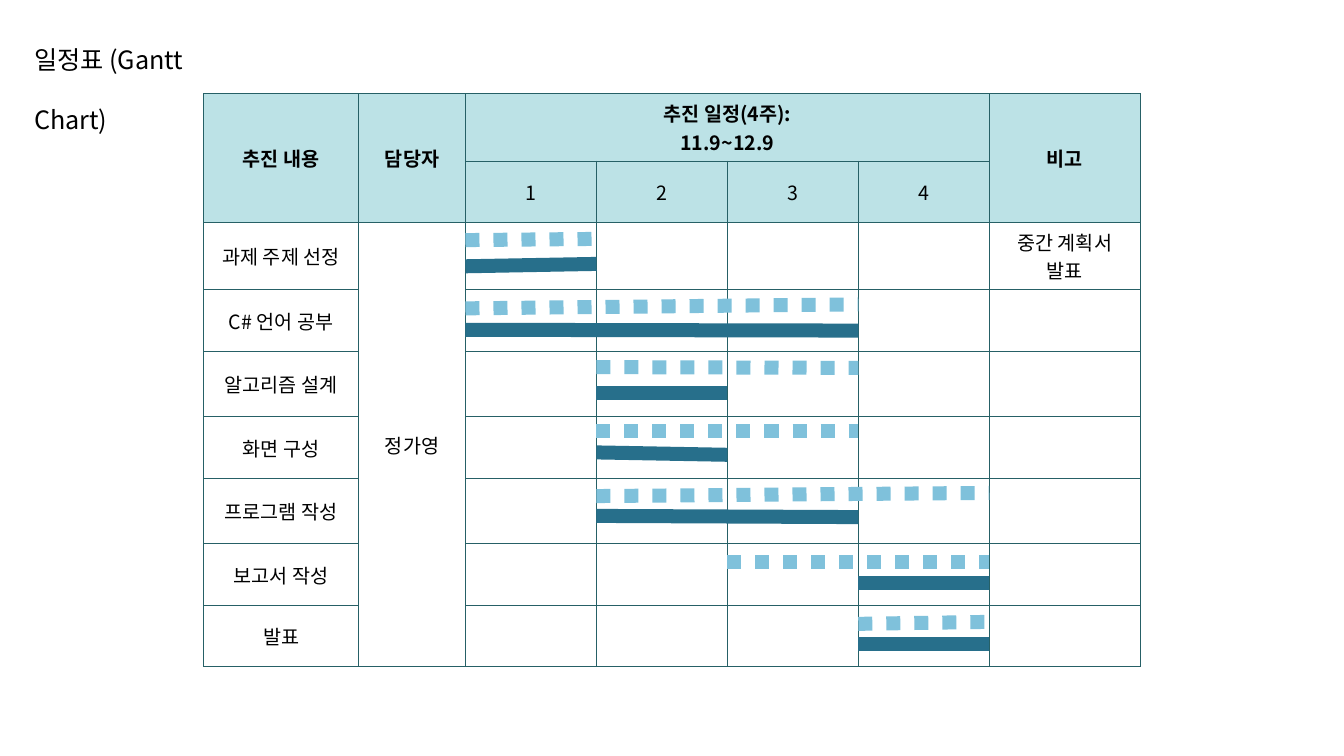
from lxml import etree
from pptx import Presentation
from pptx.dml.color import RGBColor
from pptx.enum import dml, shapes, text
from pptx.oxml import ns
from pptx.util import Cm, Pt

# Content
TITLE = "일정표 (Gantt Chart)"
HEADINGS = {0: "추진 내용", 1: "담당자", 2: "추진 일정(4주):\n11.9~12.9", 6: "비고"}
WEEKS = ["1", "2", "3", "4"]
OWNER = "정가영"
# task, remark, planned and actual bars: (first week, last week, start height, end height in cm)
TASKS = [
    ("과제 주제 선정", "중간 계획서 발표", (1, 1, 6.05, 6.02), (1, 1, 6.71, 6.65)),
    ("C# 언어 공부", "", (1, 3, 7.77, 7.67), (1, 3, 8.31, 8.33)),
    ("알고리즘 설계", "", (2, 3, 9.25, 9.27), (2, 2, 9.91, 9.91)),
    ("화면 구성", "", (2, 3, 10.87, 10.87), (2, 2, 11.4, 11.46)),
    ("프로그램 작성", "", (2, 4, 12.5, 12.42), (2, 3, 13.0, 13.03)),
    ("보고서 작성", "", (3, 4, 14.17, 14.17), (4, 4, 14.68, 14.68)),
    ("발표", "", (4, 4, 15.72, 15.67), (4, 4, 16.23, 16.23)),
]

# Layout (cm) and formats
LEFT, TOP = 5.13, 2.36
WEEK_WIDTH = 3.3
COLUMNS = [3.91, 2.69] + [WEEK_WIDTH] * 4 + [3.81]
ROWS = [1.65, 1.55] * 4 + [1.55]
WEEKS_LEFT = LEFT + sum(COLUMNS[:2])
FONT = "Noto Sans CJK KR"
BLACK, HEADER, GRID = "000000", "BCE2E6", "266066"
PLANNED, ACTUAL = "7FC1DB", "276F8B"
TITLE_FORMAT = {"name": FONT, "size": Pt(18), "bold": False}
HEADING_FORMAT = {"name": FONT, "size": Pt(14), "bold": True}
BODY_FORMAT = {"name": FONT, "size": Pt(14), "bold": False}


def color(hex_value):
    return RGBColor.from_string(hex_value)


def write(paragraph, words, formats):
    run = paragraph.add_run()
    run.text = words
    for key, value in formats.items():
        setattr(run.font, key, value)
    run.font.color.rgb = color(BLACK)
    east_asian = etree.SubElement(run.font._element, ns.qn("a:ea"))
    east_asian.set("typeface", FONT)


def fill_cell(cell, words, formats):
    cell.vertical_anchor = text.MSO_ANCHOR.MIDDLE
    frame = cell.text_frame
    for number, line in enumerate(words.split("\n")):
        paragraph = frame.add_paragraph() if number else frame.paragraphs[0]
        paragraph.alignment = text.PP_ALIGN.CENTER
        write(paragraph, line, formats)


def add_borders(cell):
    properties = cell._tc.get_or_add_tcPr()
    for position, side in enumerate(("lnL", "lnR", "lnT", "lnB")):
        border = etree.Element(ns.qn("a:" + side), w=str(Pt(0.5)))
        paint = etree.SubElement(border, ns.qn("a:solidFill"))
        etree.SubElement(paint, ns.qn("a:srgbClr"), val=GRID)
        properties.insert(position, border)


def add_bar(slide, bar, hex_value, dash=None):
    first, last, start_y, end_y = bar
    start_x = WEEKS_LEFT + (first - 1) * WEEK_WIDTH
    end_x = WEEKS_LEFT + last * WEEK_WIDTH
    line = slide.shapes.add_connector(
        shapes.MSO_CONNECTOR.STRAIGHT, Cm(start_x), Cm(start_y), Cm(end_x), Cm(end_y))
    line.line.color.rgb = color(hex_value)
    line.line.width = Pt(10)
    if dash:
        line.line.dash_style = dash
    etree.SubElement(line._element.spPr, ns.qn("a:effectLst"))


def add_schedule(slide):
    frame = slide.shapes.add_table(len(ROWS), len(COLUMNS), Cm(LEFT), Cm(TOP),
                                   Cm(sum(COLUMNS)), Cm(sum(ROWS)))
    schedule = frame.table
    for column, width in zip(schedule.columns, COLUMNS):
        column.width = Cm(width)
    for row, height in zip(schedule.rows, ROWS):
        row.height = Cm(height)

    # Merged headings and owner
    for start, end in [((0, 0), (1, 0)), ((0, 1), (1, 1)), ((0, 2), (0, 5)),
                       ((0, 6), (1, 6)), ((2, 1), (8, 1))]:
        schedule.cell(*start).merge(schedule.cell(*end))

    # Wording
    for column, heading in HEADINGS.items():
        fill_cell(schedule.cell(0, column), heading, HEADING_FORMAT)
    for column, week in enumerate(WEEKS, 2):
        fill_cell(schedule.cell(1, column), week, BODY_FORMAT)
    fill_cell(schedule.cell(2, 1), OWNER, BODY_FORMAT)
    for row, (task, remark, *_) in enumerate(TASKS, 2):
        fill_cell(schedule.cell(row, 0), task, BODY_FORMAT)
        if remark:
            fill_cell(schedule.cell(row, 6), remark, BODY_FORMAT)

    # Fills and grid
    for row in range(len(ROWS)):
        for column in range(len(COLUMNS)):
            cell = schedule.cell(row, column)
            if row < 2:
                cell.fill.solid()
                cell.fill.fore_color.rgb = color(HEADER)
            else:
                cell.fill.background()
            add_borders(cell)


def main():
    deck = Presentation()
    deck.slide_width, deck.slide_height = Cm(33.87), Cm(19.05)
    slide = deck.slides.add_slide(deck.slide_layouts[6])
    add_schedule(slide)

    # Title
    title = slide.shapes.add_textbox(Cm(0.61), Cm(0.23), Cm(5.69), Cm(1.8)).text_frame
    title.word_wrap = True
    title.paragraphs[0].line_spacing = 2.0
    write(title.paragraphs[0], TITLE, TITLE_FORMAT)

    # Planned bars, then actual bars
    for _, _, planned, _ in TASKS:
        add_bar(slide, planned, PLANNED, dml.MSO_LINE.ROUND_DOT)
    for *_, actual in TASKS:
        add_bar(slide, actual, ACTUAL)
    deck.save("out.pptx")


if __name__ == "__main__":
    main()
